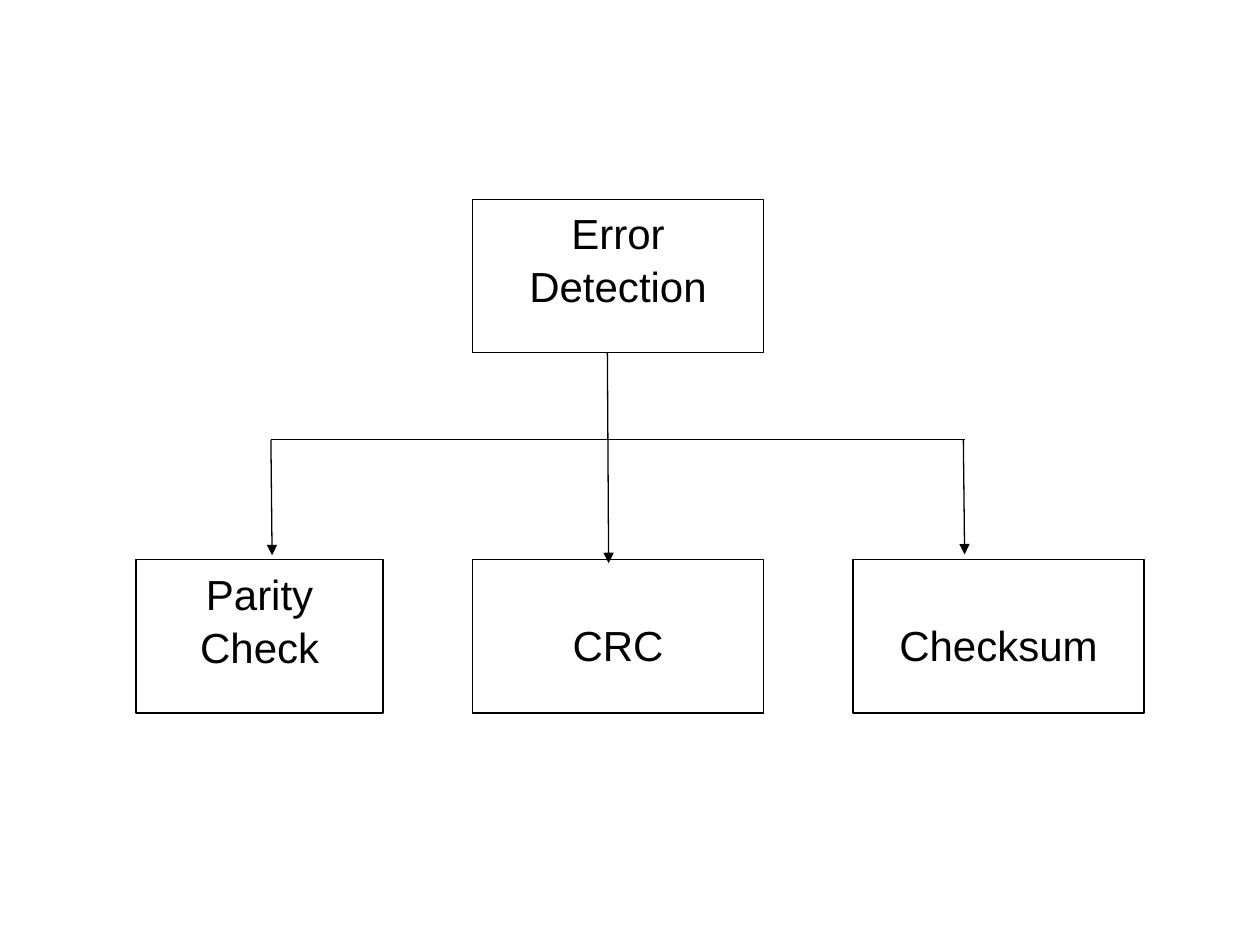
from pptx import Presentation
from pptx.dml.color import RGBColor
from pptx.enum.shapes import MSO_CONNECTOR as Connector, MSO_SHAPE as Shape
from pptx.enum.text import MSO_ANCHOR as Anchor, PP_ALIGN as Align
from pptx.oxml.ns import qn
from pptx.util import Pt
from lxml.etree import SubElement

COLORS = {"ink": "000000", "paper": "FFFFFF"}
FONT_SIZE = 24
LINE_SPACING = 1.05
LINE_HEIGHT = 29
LINE_WIDTH = 0.75
BOX_WIDTH = 166.3
BOX_HEIGHT = 87.8
ROOT_TOP = 113.8
CHILD_TOP = 319.7
CENTER_LEFT = 270
BRANCH_Y = 251.3
LEFT_X, CENTER_X, RIGHT_X = 154.8, 347.1, 551.2


def color(name):
    return RGBColor.from_string(COLORS[name])


def style_line(line):
    line.color.rgb = color("ink")
    line.width = Pt(LINE_WIDTH)


def add_box(slide, text, left, top, width=BOX_WIDTH, lines_down=0):
    shape = slide.shapes.add_shape(
        Shape.RECTANGLE, Pt(left), Pt(top), Pt(width), Pt(BOX_HEIGHT)
    )
    shape.shadow.inherit = False
    shape.fill.solid()
    shape.fill.fore_color.rgb = color("paper")
    style_line(shape.line)
    frame = shape.text_frame
    frame.word_wrap = True
    frame.vertical_anchor = Anchor.TOP
    frame.margin_left = frame.margin_right = Pt(7.2)
    frame.margin_top = Pt(3.6 + lines_down * LINE_HEIGHT)
    frame.margin_bottom = Pt(3.6)
    paragraph = frame.paragraphs[0]
    paragraph.alignment = Align.CENTER
    paragraph.line_spacing = LINE_SPACING
    run = paragraph.add_run()
    run.text = text
    run.font.name = "Arial"
    run.font.size = Pt(FONT_SIZE)
    run.font.color.rgb = color("ink")


def add_line(slide, start, end, arrow=False):
    connector = slide.shapes.add_connector(
        Connector.STRAIGHT, *(Pt(value) for value in (*start, *end))
    )
    style_line(connector.line)
    if arrow:
        SubElement(connector.line._get_or_add_ln(), qn("a:tailEnd"), type="triangle")
    SubElement(connector._element.spPr, qn("a:effectLst"))


def main():
    presentation = Presentation()
    presentation.slide_width = Pt(720)
    presentation.slide_height = Pt(540)
    slide = presentation.slides.add_slide(presentation.slide_layouts[6])

    add_box(slide, "Error Detection", CENTER_LEFT, ROOT_TOP)
    add_box(slide, "Checksum", 487.4, CHILD_TOP, lines_down=1)
    add_box(slide, "CRC", CENTER_LEFT, CHILD_TOP, lines_down=1)
    add_box(slide, "Parity Check", 77.8, CHILD_TOP, width=141.1)

    add_line(slide, (LEFT_X, BRANCH_Y), (RIGHT_X, BRANCH_Y))
    for x, top, bottom in (
        (LEFT_X, BRANCH_Y, 317.3),
        (RIGHT_X - 0.7, BRANCH_Y, 316.8),
        (CENTER_X, ROOT_TOP + BOX_HEIGHT, 321.8),
    ):
        add_line(slide, (x, top), (x + 0.7, bottom), arrow=True)

    presentation.save("out.pptx")


if __name__ == "__main__":
    main()
